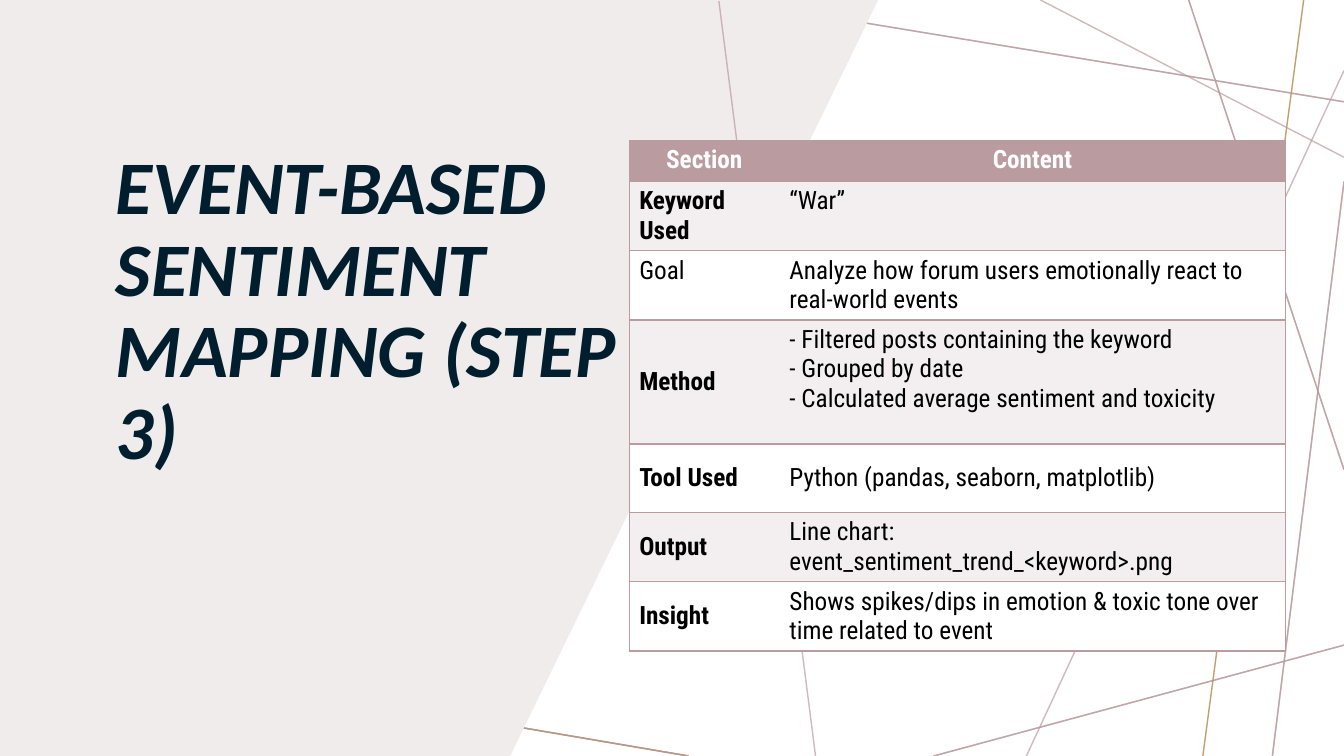
from dataclasses import dataclass

from lxml.etree import SubElement
from pptx import Presentation
from pptx.dml.color import RGBColor
from pptx.enum.shapes import MSO_CONNECTOR as Connector
from pptx.enum.text import MSO_ANCHOR as Anchor, MSO_AUTO_SIZE as AutoSize, PP_ALIGN as Align
from pptx.oxml.ns import qn
from pptx.slide import Slide
from pptx.table import _Cell as Cell
from pptx.util import Inches, Pt

ROSE, GOLD, NAVY = "BA9CA0", "A57931", "001E2E"
PANEL, BAND, WHITE, BLACK = "F0ECEC", "F3EFF0", "FFFFFF", "000000"


@dataclass(frozen=True)
class Ray:
    start: tuple[float, float]
    end: tuple[float, float]
    color: str = ROSE


@dataclass(frozen=True)
class Entry:
    section: str
    content: tuple[str, ...]
    height: float = 0.68
    bold: bool = True
    section_anchor: Anchor = Anchor.MIDDLE
    content_anchor: Anchor = Anchor.MIDDLE


WEB = [
    Ray((6.83, 7.5), (-0.05, 6.33)),
    Ray((13.33, 6.4), (9.26, 7.5)),
    Ray((13.33, 1.8), (12.62, 7.5)),
    Ray((13.33, 4.66), (11.79, 0)),
    Ray((13.33, 1.01), (7.14, -0.01)),
]
GOLD_RAYS = [
    Ray((6.83, 7.5), (-0.05, 6.33), GOLD),
    Ray((12.93, 0), (11.93, 7.5), GOLD),
]
FRONT_RAYS = [
    Ray((8.09, 7.51), (7.13, 0.01)),
    Ray((10.18, 7.5), (13.33, 0.7)),
    Ray((10.32, 0), (13.33, 1.56)),
]
PANEL_CORNERS = [(5.06, 7.5), (0, 7.5), (0, 0), (8.71, 0)]
COLUMN_WIDTHS = (1.49, 5.02)
ENTRIES = [
    Entry("Section", ("Content",), 0.41, section_anchor=Anchor.TOP, content_anchor=Anchor.TOP),
    Entry("Keyword Used", ("“War”",), content_anchor=Anchor.TOP),
    Entry("Goal", ("Analyze how forum users emotionally react to real-world events",),
          bold=False, section_anchor=Anchor.TOP),
    Entry("Method", ("- Filtered posts containing the keyword", "- Grouped by date",
                     "- Calculated average sentiment and toxicity"),
          1.23, content_anchor=Anchor.TOP),
    Entry("Tool Used", ("Python (pandas, seaborn, matplotlib)",)),
    Entry("Output", ("Line chart: event_sentiment_trend_<keyword>.png",)),
    Entry("Insight", ("Shows spikes/dips in emotion & toxic tone over time related to event",)),
]


def rgb(color: str) -> RGBColor:
    return RGBColor.from_string(color)


def draw_ray(slide: Slide, ray: Ray) -> None:
    line = slide.shapes.add_connector(
        Connector.STRAIGHT, *map(Inches, ray.start), *map(Inches, ray.end))
    line.line.width = Pt(1)
    line.line.color.rgb = rgb(ray.color)
    properties = line.element.spPr
    SubElement(next(properties.iter(qn("a:srgbClr"))), qn("a:alpha"), val="70000")
    SubElement(properties, qn("a:effectLst"))


def draw_panel(slide: Slide) -> None:
    first, *others = [(Inches(x), Inches(y)) for x, y in PANEL_CORNERS]
    builder = slide.shapes.build_freeform(*first)
    builder.add_line_segments(others, close=True)
    panel = builder.convert_to_shape()
    panel.shadow.inherit = False
    panel.fill.solid()
    panel.fill.fore_color.rgb = rgb(PANEL)
    panel.line.fill.background()


def write_title(slide: Slide, words: str) -> None:
    title = slide.shapes.title
    title.element.getparent().append(title.element)
    title.left, title.top = Inches(1.05), Inches(0.59)
    title.width, title.height = Inches(5.22), Inches(4.18)
    frame = title.text_frame
    frame.word_wrap = True
    frame.auto_size = AutoSize.NONE
    frame.vertical_anchor = Anchor.BOTTOM
    paragraph = frame.paragraphs[0]
    paragraph.alignment = Align.LEFT
    paragraph.line_spacing = 0.9
    run = paragraph.add_run()
    run.text = words
    run.font.name, run.font.size = "Calibri", Pt(54)
    run.font.bold = run.font.italic = True
    run.font.color.rgb = rgb(NAVY)


def set_borders(cell: Cell, drawn_sides: str) -> None:
    for side in "LRTB":
        border = SubElement(cell._tc.get_or_add_tcPr(), qn(f"a:ln{side}"), w=str(Pt(1)))
        if side in drawn_sides:
            SubElement(SubElement(border, qn("a:solidFill")), qn("a:srgbClr"), val=ROSE)
        else:
            SubElement(border, qn("a:noFill"))


def fill_cell(cell: Cell, lines: tuple[str, ...], bold: bool, color: str,
              fill: str, align: Align, anchor: Anchor) -> None:
    cell.fill.solid()
    cell.fill.fore_color.rgb = rgb(fill)
    cell.vertical_anchor = anchor
    paragraph = cell.text_frame.paragraphs[0]
    paragraph.alignment = align
    for index, line in enumerate(lines):
        if index:
            paragraph.add_line_break()
        run = paragraph.add_run()
        run.text = line
        run.font.name, run.font.size = "Roboto Condensed", Pt(18)
        run.font.bold = bold
        run.font.color.rgb = rgb(color)


def draw_summary(slide: Slide) -> None:
    summary = slide.shapes.add_table(
        len(ENTRIES), len(COLUMN_WIDTHS), Inches(6.24), Inches(1.39),
        Inches(sum(COLUMN_WIDTHS)), Inches(sum(entry.height for entry in ENTRIES))).table
    summary.horz_banding = False
    for column, width in zip(summary.columns, COLUMN_WIDTHS):
        column.width = Inches(width)
    for index, entry in enumerate(ENTRIES):
        summary.rows[index].height = Inches(entry.height)
        header = index == 0
        fill = ROSE if header else BAND if index % 2 else WHITE
        color = WHITE if header else BLACK
        align = Align.CENTER if header else Align.LEFT
        section, content = summary.cell(index, 0), summary.cell(index, 1)
        set_borders(section, "LTB")
        set_borders(content, "RTB")
        fill_cell(section, (entry.section,), entry.bold, color, fill, align, entry.section_anchor)
        fill_cell(content, entry.content, header, color, fill, align, entry.content_anchor)


def main() -> None:
    deck = Presentation()
    deck.slide_width, deck.slide_height = Inches(13.33), Inches(7.5)
    slide = deck.slides.add_slide(deck.slide_layouts[5])
    slide.background.fill.solid()
    slide.background.fill.fore_color.rgb = rgb(WHITE)
    for ray in [*WEB, *GOLD_RAYS, *WEB]:
        draw_ray(slide, ray)
    draw_panel(slide)
    write_title(slide, "EVENT-BASED SENTIMENT MAPPING (STEP 3)")
    for ray in FRONT_RAYS:
        draw_ray(slide, ray)
    draw_summary(slide)
    deck.save("out.pptx")


if __name__ == "__main__":
    main()
